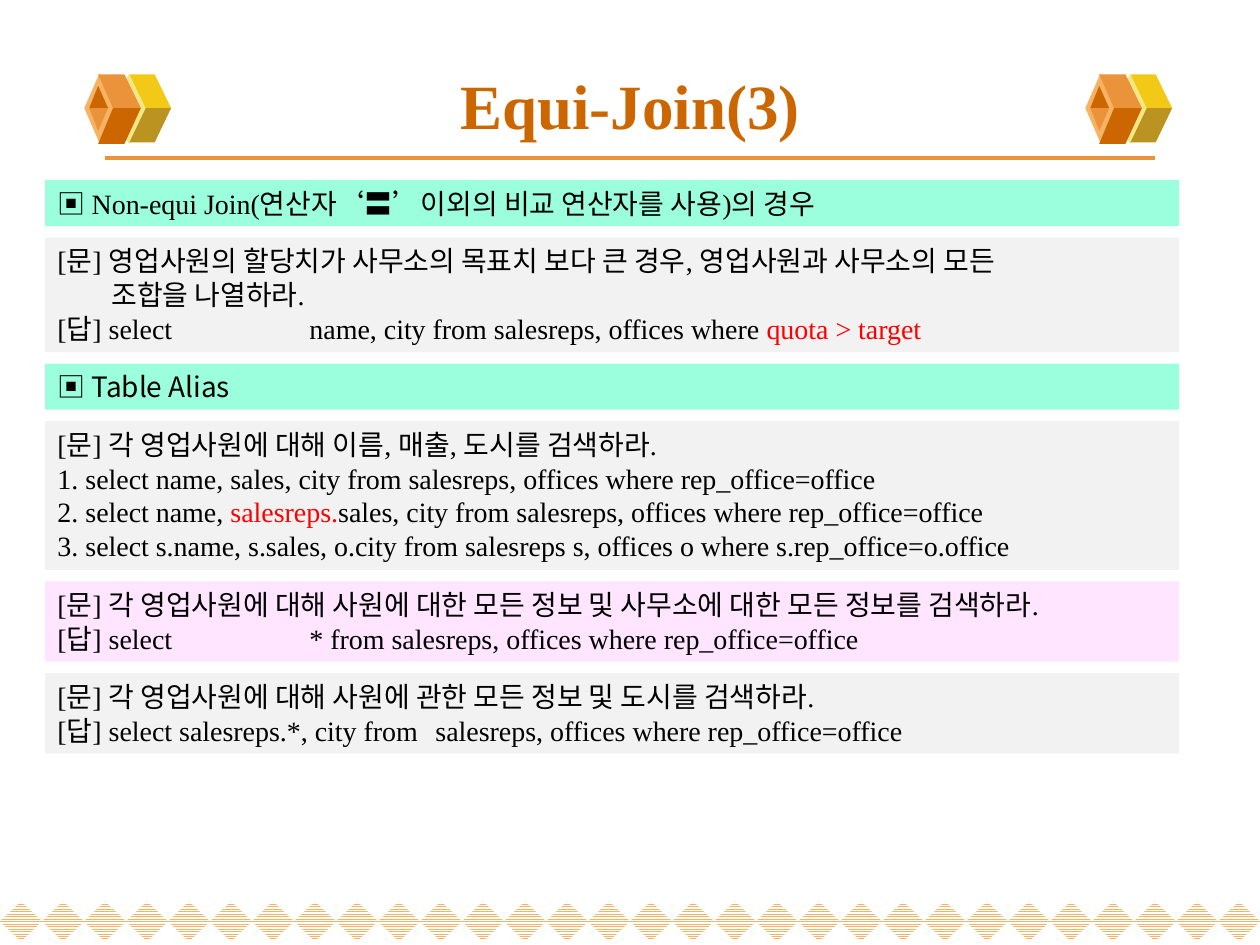
from lxml import etree
from pptx import Presentation
from pptx.dml.color import RGBColor
from pptx.enum.dml import MSO_PATTERN
from pptx.enum.shapes import MSO_CONNECTOR, MSO_SHAPE
from pptx.enum.text import MSO_ANCHOR, PP_ALIGN
from pptx.oxml.ns import qn
from pptx.util import Cm, Pt

RECT, DIAMOND = MSO_SHAPE.RECTANGLE, MSO_SHAPE.DIAMOND
STRAIGHT = MSO_CONNECTOR.STRAIGHT
STRIPES = MSO_PATTERN.NARROW_HORIZONTAL
LEFT, CENTER = PP_ALIGN.LEFT, PP_ALIGN.CENTER
TOP, MIDDLE = MSO_ANCHOR.TOP, MSO_ANCHOR.MIDDLE

SERIF, SANS = "Times New Roman", "Noto Sans CJK KR"
BLACK, RED, BROWN, ORANGE, AMBER = "000000", "FF0000", "CC6600", "EB933B", "F5B363"
MINT, GREY, PINK = "9BFFDE", "F2F2F2", "FFE5FF"

GEM_LEFTS = (1.7, 21.88)
GEM_RIGHT_FACES = [
    ("F3C917", [(1.24, 2.18), (1.75, 2.18), (1.42, 1.5), (0.91, 1.5)]),
    ("BB9321", [(1.24, 2.18), (1.75, 2.18), (1.42, 2.87), (0.91, 2.87)]),
]
GEM_LEFT_FACES = [
    (ORANGE, [(0.58, 2.18), (1.14, 2.18), (0.81, 1.5), (0.28, 1.5)]),
    (BROWN, [(0.58, 2.18), (1.14, 2.18), (0.81, 2.9), (0.28, 2.9)]),
    (BROWN, [(0.28, 1.73), (0.1, 2.18), (0.48, 2.18)]),
    (ORANGE, [(0.28, 2.64), (0.1, 2.18), (0.48, 2.18)]),
]

INDENT = 1.09
TABS = (5.08, 7.62)
LINE_HEIGHT = 0.69
BOXES = [
    (MINT, [(0, [("▣ ", BLACK, SANS),
                 ("Non-equi Join(연산자‘〓’이외의 비교 연산자를 사용)의 경우", BLACK, SERIF)])]),
    (GREY, [
        (0, [("[문] 영업사원의 할당치가 사무소의 목표치 보다 큰 경우, 영업사원과 사무소의 모든", BLACK, SERIF)]),
        (INDENT, [("조합을 나열하라.", BLACK, SERIF)]),
        (0, [("[답] select \tname, city from salesreps, offices where ", BLACK, SERIF),
             ("quota > target", RED, SERIF)]),
    ]),
    (MINT, [(0, [("▣ Table Alias", BLACK, SANS)])]),
    (GREY, [
        (0, [("[문] 각 영업사원에 대해 이름, 매출, 도시를 검색하라.", BLACK, SERIF)]),
        (0, [("1. select name, sales, city from salesreps, offices where rep_office=office", BLACK, SERIF)]),
        (0, [("2. select name, ", BLACK, SERIF),
             ("salesreps.", RED, SERIF),
             ("sales, city from salesreps, offices where rep_office=office", BLACK, SERIF)]),
        (0, [("3. select s.name, s.sales, o.city from salesreps s, offices o where s.rep_office=o.office",
              BLACK, SERIF)]),
    ]),
    (PINK, [
        (0, [("[문] 각 영업사원에 대해 사원에 대한 모든 정보 및 사무소에 대한 모든 정보를 검색하라.", BLACK, SERIF)]),
        (0, [("[답] select \t* from salesreps, offices where rep_office=office", BLACK, SERIF)]),
    ]),
    (GREY, [
        (0, [("[문] 각 영업사원에 대해 사원에 관한 모든 정보 및 도시를 검색하라.", BLACK, SERIF)]),
        (0, [("[답] select salesreps.*, city from\tsalesreps, offices where rep_office=office", BLACK, SERIF)]),
    ]),
]


def rgb(value):
    """Turn a hex string into a colour."""
    return RGBColor.from_string(value)


def paint(sp, color):
    """Give a shape a plain fill with no outline or shadow."""
    sp.shadow.inherit = False
    sp.fill.solid()
    sp.fill.fore_color.rgb = rgb(color)
    sp.line.fill.background()


def add_preset(s, kind, x, y, w, h, color):
    """Add a filled preset shape measured in centimetres."""
    sp = s.shapes.add_shape(kind, Cm(x), Cm(y), Cm(w), Cm(h))
    paint(sp, color)
    return sp


def add_faces(s, left, faces):
    """Add filled polygons whose points are offset from the left."""
    for color, points in faces:
        outline = [(Cm(left + x), Cm(y)) for x, y in points]
        builder = s.shapes.build_freeform(*outline[0])
        builder.add_line_segments(outline[1:])
        paint(builder.convert_to_shape(), color)


def add_gem(s, left):
    """Add one hexagonal gem."""
    add_preset(s, DIAMOND, left + 0.48, 1.5, 0.84, 1.4, "F1E785")
    add_faces(s, left, GEM_RIGHT_FACES)
    add_preset(s, DIAMOND, left, 1.48, 0.61, 1.4, AMBER)
    add_faces(s, left, GEM_LEFT_FACES)


def add_border(s, count=30):
    """Add the row of striped diamonds along the bottom."""
    step = 25.4 / count
    for i in range(count):
        sp = add_preset(s, DIAMOND, i * step, 18.17, step, 0.81, AMBER)
        sp.fill.patterned()
        sp.fill.pattern = STRIPES
        sp.fill.fore_color.rgb = rgb(AMBER)
        sp.fill.back_color.rgb = rgb("FFFFFF")


def add_rule(s):
    """Add the line under the title."""
    line = s.shapes.add_connector(STRAIGHT, Cm(2.11), Cm(3.18), Cm(23.29), Cm(3.18))
    line.line.color.rgb = rgb(ORANGE)
    line.line.width = Pt(2.25)
    etree.SubElement(line._element.spPr, qn("a:effectLst"))


def add_run(p, text, size, color, font, bold=False):
    """Add a run with its Latin and East Asian fonts."""
    r = p.add_run()
    r.text = text
    r.font.size = Pt(size)
    r.font.bold = bold
    r.font.name = font
    r.font.color.rgb = rgb(color)
    etree.SubElement(r._r.get_or_add_rPr(), qn("a:ea"), typeface=SANS)


def add_title(s, text):
    """Add the centred slide title."""
    tf = s.shapes.add_textbox(Cm(1.27), Cm(1.02), Cm(22.86), Cm(2.16)).text_frame
    tf.word_wrap = True
    tf.vertical_anchor = MIDDLE
    p = tf.paragraphs[0]
    p.alignment = CENTER
    add_run(p, text, 36, BROWN, SERIF, bold=True)


def set_layout(p, indent):
    """Set the left margin, line height and tab stops of a paragraph."""
    p.alignment = LEFT
    p.line_spacing = Cm(0.68)
    pPr = p._p.get_or_add_pPr()
    pPr.set("marL", str(Cm(indent)))
    tabs = etree.SubElement(pPr, qn("a:tabLst"))
    for stop in TABS:
        etree.SubElement(tabs, qn("a:tab"), pos=str(Cm(stop)), algn="l")


def add_box(s, top, height, color, lines):
    """Add a coloured band with its lines of text."""
    tf = add_preset(s, RECT, 0.91, top, 22.86, height, color).text_frame
    tf.word_wrap = True
    tf.vertical_anchor = TOP
    for i, (indent, runs) in enumerate(lines):
        p = tf.add_paragraph() if i else tf.paragraphs[0]
        set_layout(p, indent)
        for text, run_color, font in runs:
            add_run(p, text, 16, run_color, font)


def main():
    """Build the slide and save it."""
    prs = Presentation()
    prs.slide_width, prs.slide_height = Cm(25.4), Cm(19.05)
    s = prs.slides.add_slide(prs.slide_layouts[6])
    add_border(s)
    add_rule(s)
    for left in GEM_LEFTS:
        add_gem(s, left)
    add_title(s, "Equi-Join(3)")
    top = 3.63
    for color, lines in BOXES:
        height = 0.24 + LINE_HEIGHT * len(lines)
        add_box(s, top, height, color, lines)
        top += height + 0.23
    prs.save("out.pptx")


if __name__ == "__main__":
    main()
